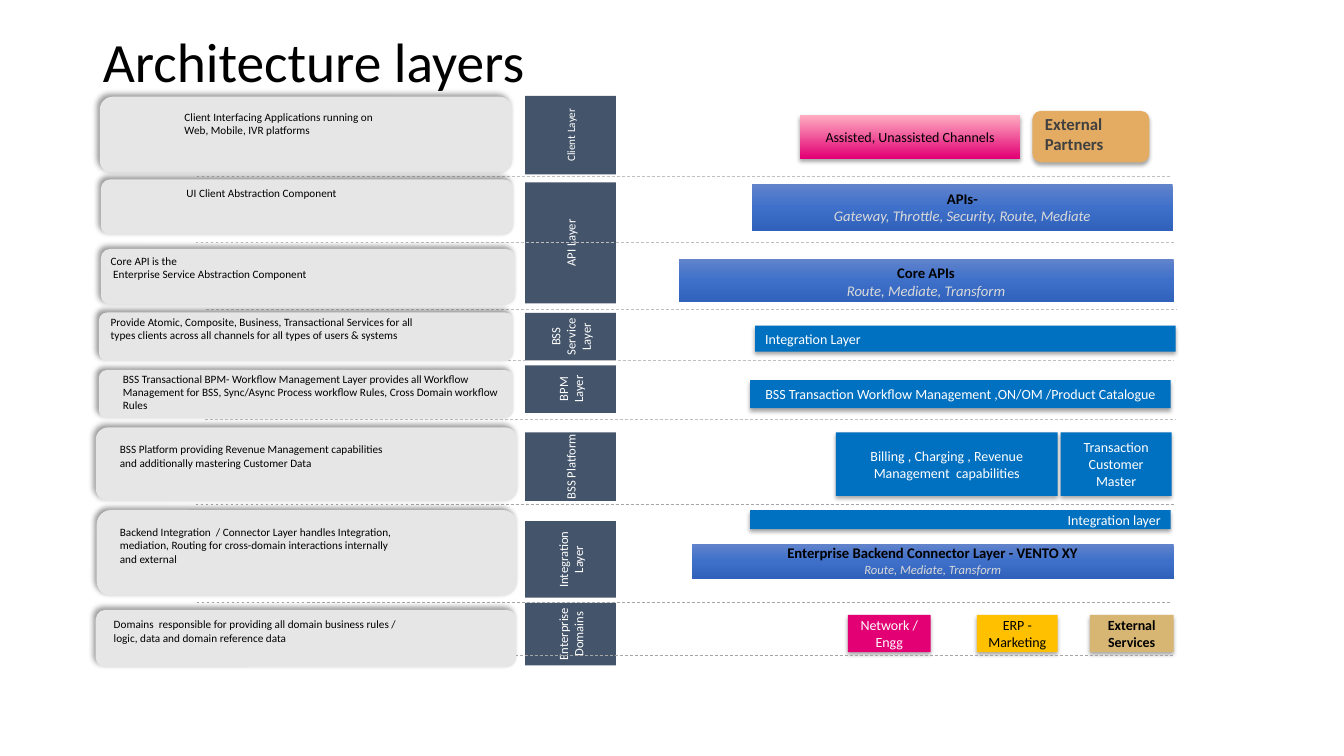
import copy

import lxml.etree
import pptx
import pptx.dml.color
import pptx.enum.dml
import pptx.enum.shapes
import pptx.enum.text
import pptx.oxml.ns
import pptx.util

Inches = pptx.util.Inches
SHAPES = pptx.enum.shapes.MSO_SHAPE
ALIGN = pptx.enum.text.PP_ALIGN
ANCHOR = pptx.enum.text.MSO_ANCHOR
FIT = pptx.enum.text.MSO_AUTO_SIZE

BLACK, WHITE = "000000", "FFFFFF"
SLATE, BLUE, CARD_GREY = "44546A", "0070C0", "E7E6E6"
API_GRADIENT = ["6183CB", "3E70CA", "3062BB"]
CHANNEL_GRADIENT = ["FFAFC2", "E20074"]
BLOCK_SHADOW = (35, 3.1, 1.8, 90)
CARD_SHADOW = (40, 4, 3, 225)
DEFAULT_INSETS = (0.1, 0.05, 0.1, 0.05)
NO_INSETS = (0, 0, 0, 0)
TAB_INSETS = (0, 0.05, 0, 0.05)
TAB_CENTRE, TAB_WIDTH = 5.66, 0.9


def color(hex_value):
    return pptx.dml.color.RGBColor.from_string(hex_value)


def write(frame, lines, align=ALIGN.CENTER, anchor=ANCHOR.MIDDLE, insets=DEFAULT_INSETS):
    frame.word_wrap = True
    frame.vertical_anchor = anchor
    frame.margin_left, frame.margin_top, frame.margin_right, frame.margin_bottom = map(Inches, insets)
    for index, (text, size, ink, bold, italic) in enumerate(lines):
        paragraph = frame.add_paragraph() if index else frame.paragraphs[0]
        paragraph.alignment = align
        run = paragraph.add_run()
        run.text = text
        run.font.name = "Calibri"
        run.font.size = pptx.util.Pt(size)
        run.font.bold = bold
        run.font.italic = italic
        run.font.color.rgb = color(ink)


def plain(text, size=10, ink=WHITE, bold=False):
    return [(line, size, ink, bold, False) for line in text.split("\n")]


def paint_gradient(shape, shades):
    shape.fill.gradient()
    shape.fill.gradient_angle = 270
    stop_list = shape._element.spPr.find(".//" + pptx.oxml.ns.qn("a:gsLst"))
    for _ in shades[2:]:
        stop_list.append(copy.deepcopy(stop_list[0]))
    for index, (stop, shade) in enumerate(zip(shape.fill.gradient_stops, shades)):
        stop.position = index / (len(shades) - 1)
        stop.color.rgb = color(shade)


def add_shadow(shape, opacity, blur, distance, angle):
    effects = shape._element.spPr.find(pptx.oxml.ns.qn("a:effectLst"))
    outer = lxml.etree.SubElement(
        effects, pptx.oxml.ns.qn("a:outerShdw"), blurRad=str(int(pptx.util.Pt(blur))),
        dist=str(int(pptx.util.Pt(distance))), dir=str(angle * 60000), algn="ctr", rotWithShape="0")
    ink = lxml.etree.SubElement(outer, pptx.oxml.ns.qn("a:srgbClr"), val=BLACK)
    lxml.etree.SubElement(ink, pptx.oxml.ns.qn("a:alpha"), val=str(opacity * 1000))


def add_block(slide, box, fill, shadow=None, kind=SHAPES.RECTANGLE):
    block = slide.shapes.add_shape(kind, *map(Inches, box))
    if isinstance(fill, list):
        paint_gradient(block, fill)
    else:
        block.fill.solid()
        block.fill.fore_color.rgb = color(fill)
    block.line.fill.background()
    block.shadow.inherit = False
    if shadow:
        add_shadow(block, *shadow)
    return block


def add_component(slide, box, fill, text, ink=WHITE, bold=False, align=ALIGN.CENTER, insets=DEFAULT_INSETS):
    component = add_block(slide, box, fill, BLOCK_SHADOW)
    write(component.text_frame, plain(text, 10, ink, bold), align, insets=insets)


def add_api_bar(slide, box, name, duties, duty_size=10.5, insets=DEFAULT_INSETS):
    bar = add_block(slide, box, API_GRADIENT)
    lines = [(name, 10.5, BLACK, True, False), (duties, duty_size, "D9D9D9", False, True)]
    write(bar.text_frame, lines, anchor=ANCHOR.TOP, insets=insets)


def add_partners(slide):
    partners = add_block(slide, (10.24, 1.1, 1.16, 0.51), "E4AC62", BLOCK_SHADOW, SHAPES.ROUNDED_RECTANGLE)
    write(partners.text_frame, plain("External\nPartners", 12, "404040", True),
          ALIGN.LEFT, ANCHOR.TOP, (0.1, 0, 0.1, 0.05))


def add_layer_tab(slide, middle, length, name, size=9, insets=TAB_INSETS):
    box = (TAB_CENTRE - length / 2, middle - TAB_WIDTH / 2, length, TAB_WIDTH)
    tab = add_block(slide, box, SLATE)
    tab.rotation = 270
    write(tab.text_frame, plain(name, size), insets=insets)


def add_divider(slide, left, right, y, ink):
    divider = slide.shapes.add_connector(
        pptx.enum.shapes.MSO_CONNECTOR.STRAIGHT, Inches(left), Inches(y), Inches(right), Inches(y))
    divider.line.color.rgb = color(ink)
    divider.line.width = pptx.util.Pt(0.5)
    divider.line.dash_style = pptx.enum.dml.MSO_LINE.DASH
    lxml.etree.SubElement(divider._element.spPr, pptx.oxml.ns.qn("a:effectLst"))


def add_description(slide, card_box, text_box, text, insets=DEFAULT_INSETS):
    add_block(slide, card_box, CARD_GREY, CARD_SHADOW, SHAPES.ROUNDED_RECTANGLE)
    frame = slide.shapes.add_textbox(*map(Inches, text_box)).text_frame
    write(frame, plain(text, 8, BLACK), ALIGN.LEFT, ANCHOR.TOP, insets)
    frame.auto_size = FIT.SHAPE_TO_FIT_TEXT


def add_title(slide):
    title = slide.shapes.title
    title.left, title.top, title.width, title.height = map(Inches, (0.92, 0.4, 11.5, 0.48))
    write(title.text_frame, plain("Architecture layers", 39.6, BLACK), ALIGN.LEFT)
    title.text_frame.auto_size = FIT.NONE
    title.text_frame.paragraphs[0].line_spacing = 0.9


def main():
    deck = pptx.Presentation()
    deck.slide_width, deck.slide_height = Inches(13.33), Inches(7.5)
    slide = deck.slides.add_slide(deck.slide_layouts[5])
    add_title(slide)

    add_component(slide, (7.93, 1.14, 2.19, 0.43), CHANNEL_GRADIENT, "Assisted, Unassisted Channels", BLACK)
    add_partners(slide)
    add_api_bar(slide, (7.46, 1.83, 4.17, 0.46), "APIs-", "Gateway, Throttle, Security, Route, Mediate")
    add_api_bar(slide, (6.73, 2.57, 4.91, 0.43), "Core APIs", "Route, Mediate, Transform")
    add_component(slide, (7.49, 3.23, 4.17, 0.26), BLUE, "Integration Layer", align=ALIGN.LEFT)
    add_component(slide, (7.44, 3.77, 4.17, 0.28), BLUE,
                  "BSS Transaction Workflow Management ,ON/OM /Product Catalogue")
    add_component(slide, (8.29, 4.29, 2.2, 0.63), BLUE, "Billing , Charging , Revenue Management  capabilities")
    add_component(slide, (10.52, 4.29, 1.1, 0.63), BLUE, "Transaction Customer Master")
    add_component(slide, (7.44, 5.06, 4.17, 0.19), BLUE, "Integration layer", align=ALIGN.RIGHT)
    add_api_bar(slide, (6.86, 5.4, 4.78, 0.34), "Enterprise Backend Connector Layer - VENTO XY",
                "Route, Mediate, Transform", 9, NO_INSETS)
    for left, width, fill, domain, ink, bold in [
        (8.41, 0.82, "E20074", "Network / Engg", WHITE, False),
        (9.69, 0.8, "FFC000", "ERP - Marketing", BLACK, False),
        (10.81, 0.83, "D7B673", "External Services", BLACK, True),
    ]:
        add_component(slide, (left, 6.1, width, 0.37), fill, domain, ink, bold, insets=NO_INSETS)

    add_layer_tab(slide, 1.34, 0.78, "Client Layer", 8, DEFAULT_INSETS)
    add_layer_tab(slide, 2.41, 1.2, "API Layer")
    add_layer_tab(slide, 3.34, 0.47, "BSS Service Layer", insets=NO_INSETS)
    add_layer_tab(slide, 3.86, 0.47, "BPM Layer", insets=NO_INSETS)
    add_layer_tab(slide, 4.63, 0.68, "BSS Platform")
    add_layer_tab(slide, 5.55, 0.76, "Integration\nLayer")
    add_layer_tab(slide, 6.29, 0.62, "Enterprise Domains")

    for left, right, y, ink in [
        (1.95, 11.6, 1.75, "BFBFBF"), (1.94, 11.64, 2.4, "BFBFBF"),
        (2.04, 11.67, 3.07, "BFBFBF"), (2.01, 11.64, 3.58, "BFBFBF"),
        (2.03, 11.66, 4.16, "BFBFBF"), (1.94, 11.66, 5, "A6A6A6"),
        (1.95, 11.61, 5.98, "A6A6A6"), (2.03, 11.64, 6.5, "A6A6A6"),
    ]:
        add_divider(slide, left, right, y, ink)

    add_description(slide, (0.99, 0.96, 4.09, 0.76), (1.83, 1.09, 1.96, 0.27),
                    "Client Interfacing Applications running on Web, Mobile, IVR platforms", NO_INSETS)
    add_description(slide, (1, 1.78, 4.09, 0.55), (1.85, 1.85, 1.94, 0.13),
                    "UI Client Abstraction Component", NO_INSETS)
    add_description(slide, (1, 2.47, 4.11, 0.55), (1, 2.47, 2.36, 0.37),
                    "Core API is the\n Enterprise Service Abstraction Component")
    add_description(slide, (0.98, 3.1, 4.11, 0.48), (1, 3.08, 3.46, 0.37),
                    "Provide Atomic, Composite, Business, Transactional Services for all types clients "
                    "across all channels for all types of users & systems")
    add_description(slide, (0.98, 3.67, 4.11, 0.48), (1.12, 3.64, 3.98, 0.5),
                    "BSS Transactional BPM- Workflow Management Layer provides all Workflow Management "
                    "for BSS, Sync/Async Process workflow Rules, Cross Domain workflow Rules")
    add_description(slide, (0.95, 4.24, 4.18, 0.73), (1.09, 4.34, 2.93, 0.37),
                    "BSS Platform providing Revenue Management capabilities "
                    "and additionally mastering Customer Data")
    add_description(slide, (0.96, 5.06, 4.17, 0.85), (1.09, 5.16, 2.96, 0.5),
                    "Backend Integration  / Connector Layer handles Integration, mediation, "
                    "Routing for cross-domain interactions internally and external")
    add_description(slide, (0.95, 6.05, 4.17, 0.57), (1.03, 6.08, 3.1, 0.37),
                    "Domains  responsible for providing all domain business rules / logic, "
                    "data and domain reference data")
    deck.save("out.pptx")


if __name__ == "__main__":
    main()
